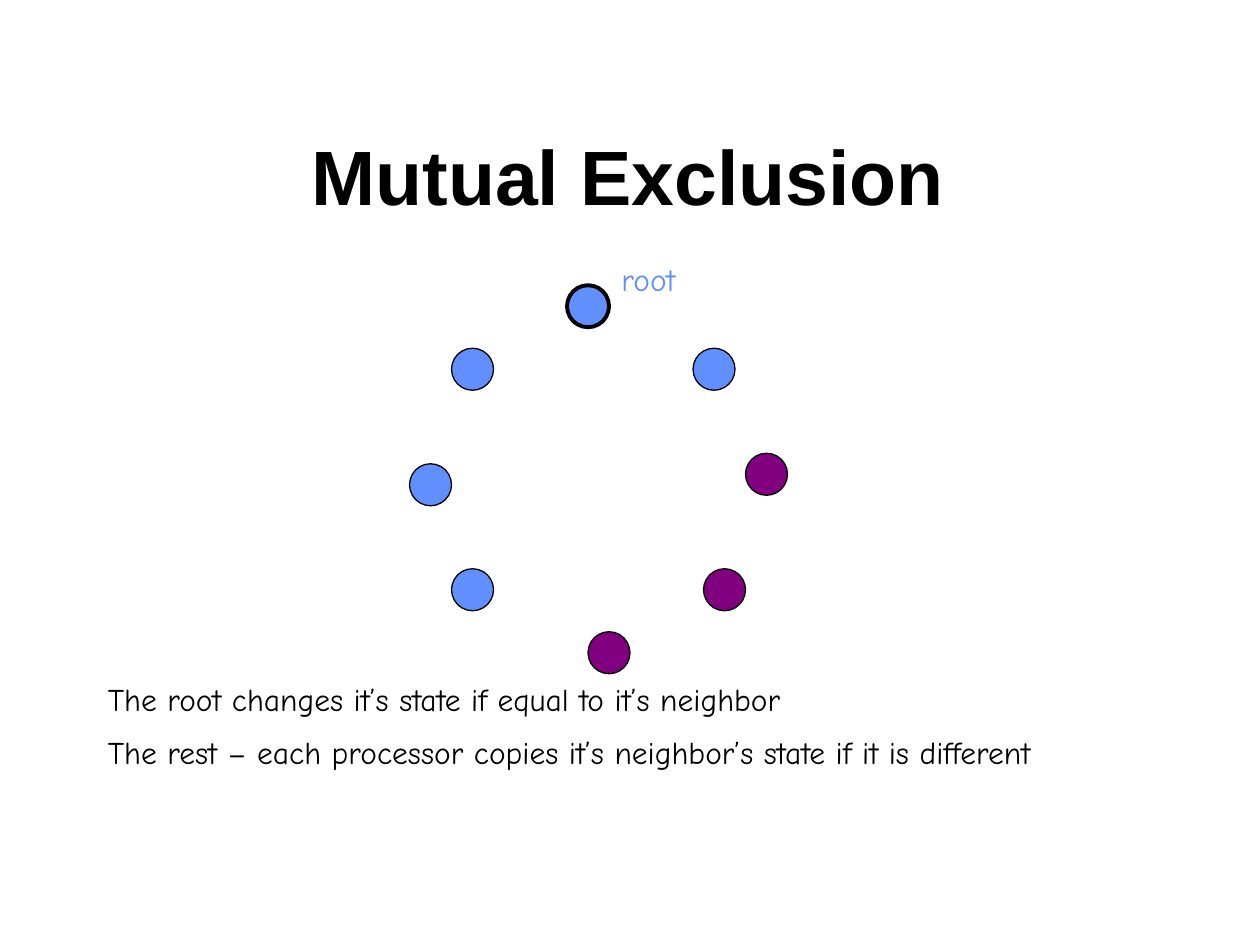
from pptx import Presentation
from pptx.dml.color import RGBColor
from pptx.enum.shapes import MSO_SHAPE
from pptx.enum.text import MSO_ANCHOR, PP_ALIGN
from pptx.util import Pt

ELLIPSE = MSO_SHAPE.OVAL
TOP, MIDDLE = MSO_ANCHOR.TOP, MSO_ANCHOR.MIDDLE
LEFT, CENTER = PP_ALIGN.LEFT, PP_ALIGN.CENTER

BLACK = RGBColor(0x00, 0x00, 0x00)
BLUE = RGBColor(0x61, 0x8F, 0xFD)
PURPLE = RGBColor(0x80, 0x00, 0x80)

BODY_FONT = "Comic Neue"
TITLE_FONT = "Arial"
PROCESSOR_SIZE = 24

# Left, top and state colour, clockwise from the root
PROCESSORS = [
    (324, 163, BLUE),
    (396, 199, BLUE),
    (426, 259, PURPLE),
    (402, 325, PURPLE),
    (336, 361, PURPLE),
    (258, 325, BLUE),
    (234, 265, BLUE),
    (258, 199, BLUE),
]

RULES = [
    "The root changes it’s state if equal to it’s neighbor",
    "The rest – each processor copies it’s neighbor’s state if it is different",
]


def add_processor(slide, left, top, color, line_width):
    shape = slide.shapes.add_shape(
        ELLIPSE, Pt(left), Pt(top), Pt(PROCESSOR_SIZE), Pt(PROCESSOR_SIZE))
    shape.shadow.inherit = False
    shape.fill.solid()
    shape.fill.fore_color.rgb = color
    shape.line.color.rgb = BLACK
    shape.line.width = Pt(line_width)


def add_text(slide, box, lines, size=18, font=BODY_FONT, color=BLACK,
             bold=False, align=LEFT, anchor=TOP):
    shape = slide.shapes.add_textbox(*[Pt(length) for length in box])
    frame = shape.text_frame
    frame.word_wrap = True
    frame.vertical_anchor = anchor
    frame.text = "\n".join(lines)
    for paragraph in frame.paragraphs:
        paragraph.alignment = align
        paragraph.space_after = Pt(size / 2)
        paragraph.font.size = Pt(size)
        paragraph.font.name = font
        paragraph.font.bold = bold
        paragraph.font.color.rgb = color


def main():
    presentation = Presentation()
    presentation.slide_width = Pt(720)
    presentation.slide_height = Pt(540)
    slide = presentation.slides.add_slide(presentation.slide_layouts[6])

    # Ring of processors, the root with a heavier outline
    for index, (left, top, color) in enumerate(PROCESSORS):
        add_processor(slide, left, top, color, 2.25 if index == 0 else 0.75)

    # Title, rules and root label
    add_text(slide, (119, 55, 480, 90), ["Mutual Exclusion"], size=44,
             font=TITLE_FONT, bold=True, align=CENTER, anchor=MIDDLE)
    add_text(slide, (54.5, 385, 611, 108), RULES)
    add_text(slide, (348, 145, 78, 29), ["root"], color=BLUE)

    presentation.save("out.pptx")


main()
